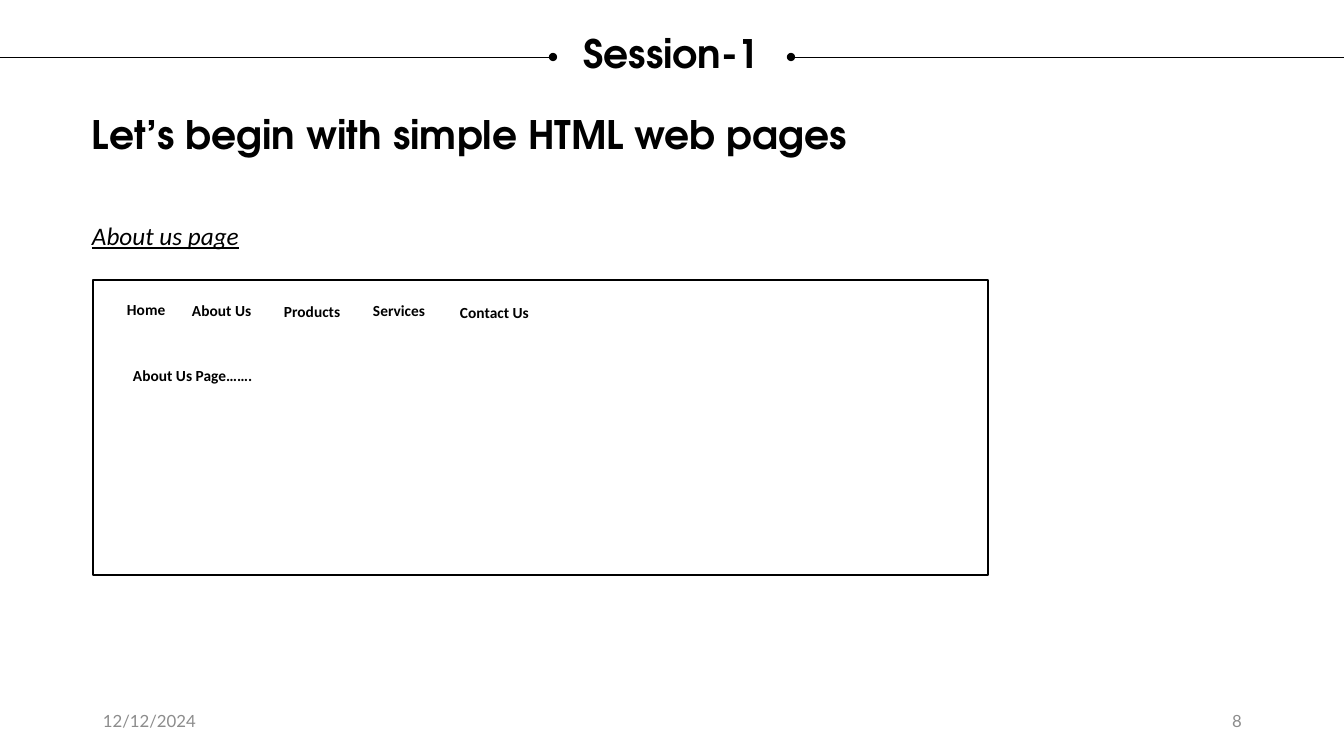
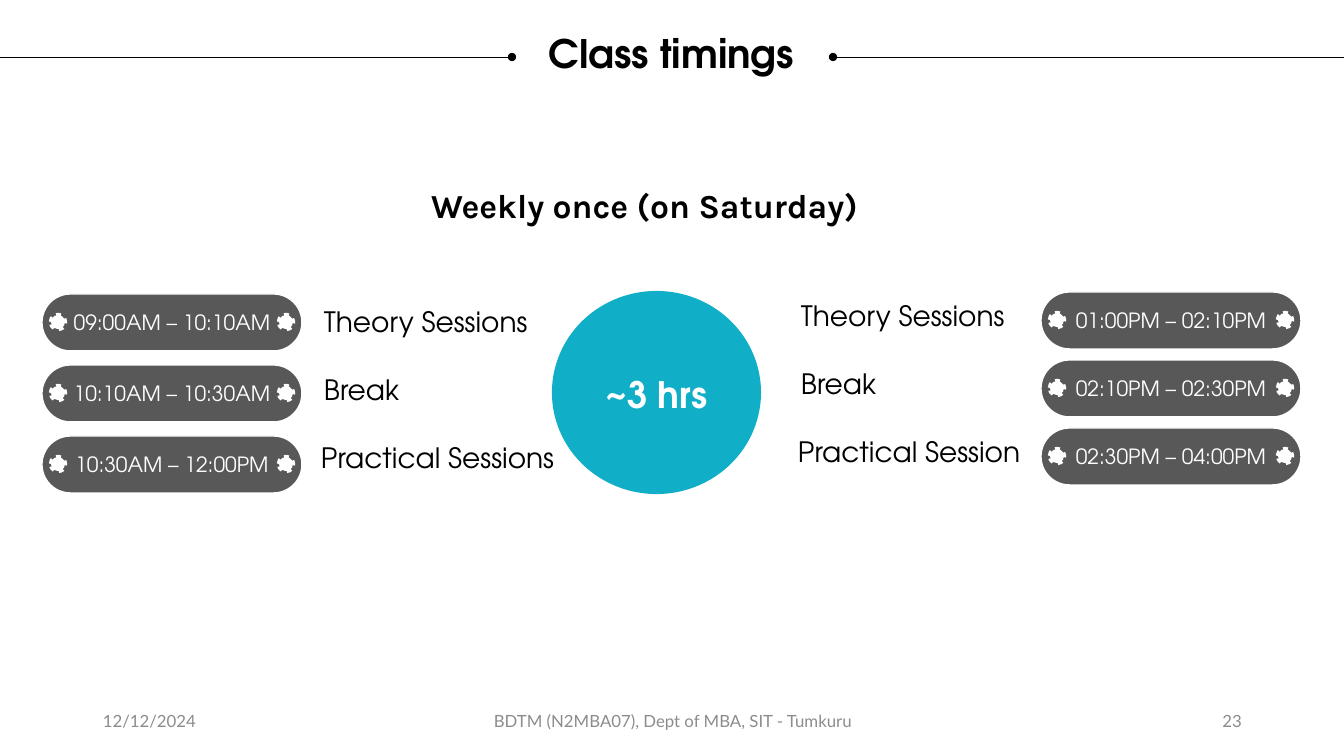
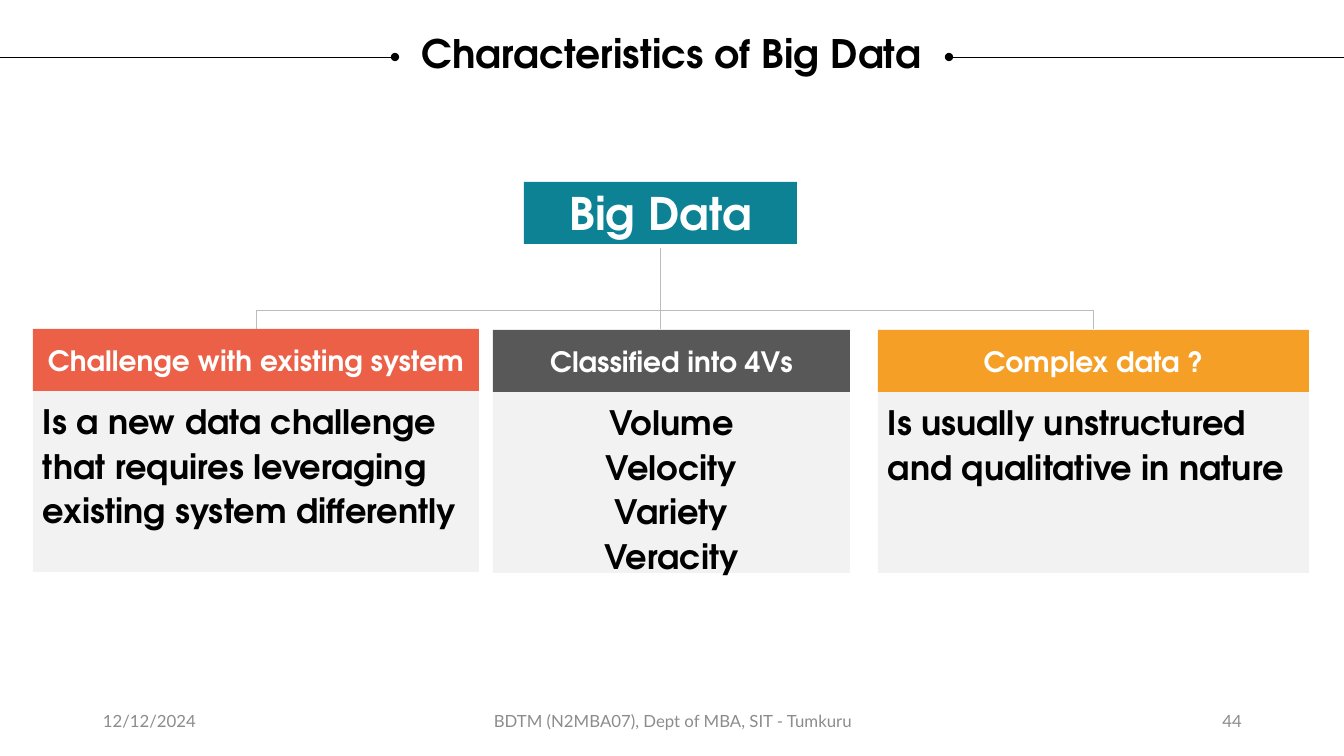
from collections import namedtuple

from lxml import etree
from pptx import Presentation
from pptx import util as u
from pptx.dml.color import RGBColor
from pptx.enum import dml, shapes, text
from pptx.oxml.ns import qn

SCALE = 914400 / 100.8
WIDTH, HEIGHT = 1344, 756
COLORS = {
    "black": "000000", "white": "FFFFFF", "grey": "8C8C8C", "line": "BBBCBC",
    "dark": "585858", "panel": "F2F2F2", "cyan": "11AEC7", "teal": "0D8295",
    "coral": "EB6047", "amber": "F59F26",
}
HEADING, PLAIN, SMALL, ACCENT = "TeX Gyre Adventor", "Calibri", "Lato", "Karla"
LEFT, CENTER, RIGHT = text.PP_ALIGN.LEFT, text.PP_ALIGN.CENTER, text.PP_ALIGN.RIGHT
TOP, MIDDLE = text.MSO_ANCHOR.TOP, text.MSO_ANCHOR.MIDDLE
KIND = shapes.MSO_SHAPE
TITLE_ONLY, TITLE_AND_BODY = 5, 1
RULE_Y = 57
DATE = "12/12/2024"
COURSE = "BDTM (N2MBA07), Dept of MBA, SIT - Tumkuru"

Box = namedtuple("Box", "left top width height")


def px(length):
    return u.Emu(round(length * SCALE))


def rgb(name):
    return RGBColor.from_string(COLORS[name])


def emu(box):
    return [px(length) for length in box]


def write(shape, lines, size, font=HEADING, color="black", bold=False, italic=False,
          underline=False, align=LEFT, anchor=TOP, spacing=1.0, before=0, after=0,
          inset=(10, 5)):
    """Fill a shape with one paragraph per line."""
    frame = shape.text_frame
    frame.word_wrap = True
    frame.auto_size = text.MSO_AUTO_SIZE.NONE
    frame.vertical_anchor = anchor
    frame.margin_left = frame.margin_right = px(inset[0])
    frame.margin_top = frame.margin_bottom = px(inset[1])
    for index, line in enumerate(lines):
        paragraph = frame.add_paragraph() if index else frame.paragraphs[0]
        paragraph.alignment = align
        paragraph.line_spacing = spacing
        paragraph.space_before = u.Pt(before if index else 0)
        paragraph.space_after = u.Pt(after)
        run = paragraph.add_run()
        run.text = line
        run.font.name = font
        run.font.size = u.Pt(size)
        run.font.bold = bold
        run.font.italic = italic
        run.font.underline = underline
        run.font.color.rgb = rgb(color)


def add_text(slide, box, line, size, **style):
    write(slide.shapes.add_textbox(*emu(box)), [line], size, **style)


def add_block(slide, kind, box, fill, line=None, line_width=1):
    shape = slide.shapes.add_shape(kind, *emu(box))
    shape.shadow.inherit = False
    shape.fill.solid()
    shape.fill.fore_color.rgb = rgb(fill)
    if line:
        shape.line.color.rgb = rgb(line)
        shape.line.width = u.Pt(line_width)
    else:
        shape.line.fill.background()
    return shape


def add_line(slide, start, end, color, kind=shapes.MSO_CONNECTOR.STRAIGHT):
    connector = slide.shapes.add_connector(kind, *emu(start + end))
    connector.line.color.rgb = rgb(color)
    connector.line.width = u.Pt(0.5)
    etree.SubElement(connector.element.spPr, qn("a:effectLst"))
    return connector


def add_corner(slide, start, end, color):
    """Draw a connector with one bend: first across, then down."""
    connector = add_line(slide, start, end, color, shapes.MSO_CONNECTOR.ELBOW)
    connector.element.spPr.find(qn("a:prstGeom")).set("prst", "bentConnector2")


def place(placeholder, box):
    placeholder.left, placeholder.top, placeholder.width, placeholder.height = emu(box)


def add_body(slide, box, line, size, **style):
    """Use the body placeholder for a line without a bullet."""
    body = slide.placeholders[1]
    place(body, box)
    write(body, [line], size, bold=True, **style)
    properties = body.text_frame.paragraphs[0]._p.get_or_add_pPr()
    properties.set("marL", "0")
    properties.set("indent", "0")
    etree.SubElement(properties, qn("a:buNone"))


def add_base(presentation, layout, title, rule_ends, number, footer=COURSE):
    """Start a slide with its title, the two rules beside it and the footer."""
    slide = presentation.slides.add_slide(presentation.slide_layouts[layout])
    place(slide.shapes.title, Box(25, 35, 1293, 42))
    write(slide.shapes.title, [title], 28, bold=True, align=CENTER, spacing=0.9,
          inset=(0, 0))
    for inner, edge in zip(rule_ends, (0, WIDTH)):
        rule = add_line(slide, (inner, RULE_Y), (edge, RULE_Y), "black")
        etree.SubElement(rule.line._get_or_add_ln(), qn("a:headEnd"), type="oval")
    for left, width, label, align in ((93, 302, DATE, LEFT), (446, 454, footer, CENTER),
                                      (950, 302, number, RIGHT)):
        if label:
            add_text(slide, Box(left, 701, width, 40), label, 12, font=SMALL,
                     color="grey", align=align, anchor=MIDDLE)
    return slide


def add_web_page(slide, box):
    """Sketch a web page with its menu and one line of content."""
    add_block(slide, KIND.RECTANGLE, box, "white", "black")
    items = (
        ("Home", Box(24, 14, 78, 37)),
        ("About Us", Box(89, 15, 104, 32)),
        ("Products", Box(181, 16, 105, 49)),
        ("Services", Box(270, 15, 104, 32)),
        ("Contact Us", Box(357, 17, 118, 38)),
        ("About Us Page…….", Box(30, 80, 342, 55)),
    )
    for label, part in items:
        item = add_block(slide, KIND.RECTANGLE,
                         part._replace(left=box.left + part.left, top=box.top + part.top),
                         "white")
        write(item, [label], 11, font=PLAIN, bold=True, spacing=1.07, after=8)


def add_time_pill(slide, box, time):
    pill = add_block(slide, KIND.ROUNDED_RECTANGLE, box, "dark", "white")
    pill.adjustments[0] = 0.5
    write(pill, [time], 15, color="white", align=CENTER, anchor=MIDDLE)
    dot_size, margin = 14, 9
    for left in (box.left + margin, box.left + box.width - margin - dot_size):
        dot = add_block(slide, KIND.OVAL, Box(left, box.top + 21, dot_size, dot_size),
                        "white", "white", 3.25)
        dot.line.dash_style = dml.MSO_LINE.ROUND_DOT


def add_timetable(slide, pills, pill_step, labels, label_step, rows):
    """Stack pills and labels downwards from the boxes of the first row."""
    for index, (time, label, shift) in enumerate(rows):
        add_time_pill(slide, pills._replace(top=pills.top + index * pill_step), time)
        add_text(slide, labels._replace(left=labels.left + shift,
                                        top=labels.top + index * label_step),
                 label, 20, spacing=0.9)


def add_card(slide, box, color, heading, lines, align=LEFT):
    head_height = 62
    head = add_block(slide, KIND.RECTANGLE, box._replace(height=head_height), color)
    write(head, [heading], 20, color="white", bold=True, align=CENTER, anchor=MIDDLE,
          inset=(10, 10))
    panel = add_block(slide, KIND.RECTANGLE,
                      box._replace(top=box.top + head_height,
                                   height=box.height - head_height), "panel")
    write(panel, lines, 24, bold=True, align=align, before=3, inset=(10, 10))


def build_web_pages(presentation):
    slide = add_base(presentation, TITLE_AND_BODY, "Session-1", (553, 791), "8", None)
    add_body(slide, Box(82, 82, 1117, 73), "Let’s begin with simple HTML web pages", 28,
             spacing=1.5)
    add_web_page(slide, Box(93, 280, 895, 295))
    add_text(slide, Box(82, 213, 672, 41), "About us page", 18, font=PLAIN, italic=True,
             underline=True, spacing=1.07, after=8)


def build_timings(presentation):
    slide = add_base(presentation, TITLE_AND_BODY, "Class timings", (512, 833), "23")
    add_body(slide, Box(261, 184, 767, 51), "Weekly once (on Saturday)", 24, font=ACCENT,
             align=CENTER, spacing=0.9)
    circle = add_block(slide, KIND.OVAL, Box(553, 292, 207, 201), "cyan", "cyan", 1.5)
    write(circle, ["~3 hrs"], 26, color="white", bold=True, align=CENTER, anchor=MIDDLE,
          spacing=1.06, inset=(10, 10))
    add_timetable(slide, Box(42, 294, 260, 57), 71, Box(314, 303, 257, 51), 68, (
        ("09:00AM – 10:10AM", "Theory Sessions", 0),
        ("10:10AM – 10:30AM", "Break", 0),
        ("10:30AM – 12:00PM", "Practical Sessions", -3),
    ))
    add_timetable(slide, Box(1041, 292, 260, 57), 68, Box(791, 297, 257, 51), 68, (
        ("01:00PM – 02:10PM", "Theory Sessions", 0),
        ("02:10PM – 02:30PM", "Break", 0),
        ("02:30PM – 04:00PM", "Practical Session", -3),
    ))


def build_characteristics(presentation):
    slide = add_base(presentation, TITLE_ONLY, "Characteristics of Big Data", (395, 949),
                     "44")
    trunk_x, branch_y, cards_y = 660, 310, 329
    add_line(slide, (trunk_x, 248), (trunk_x, cards_y), "line")
    for card_middle in (256, 1093):
        add_corner(slide, (trunk_x, branch_y), (card_middle, cards_y), "line")
    root = add_block(slide, KIND.RECTANGLE, Box(524, 182, 273, 62), "teal")
    write(root, ["Big Data"], 32, color="white", bold=True, align=CENTER, anchor=MIDDLE,
          inset=(10, 10))
    add_card(slide, Box(33, cards_y, 446, 243), "coral", "Challenge with existing system",
             ["Is a new data challenge", "that requires leveraging",
              "existing system differently"])
    add_card(slide, Box(493, cards_y + 1, 357, 243), "dark", "Classified into 4Vs",
             ["Volume", "Velocity", "Variety", "Veracity"], CENTER)
    add_card(slide, Box(878, cards_y + 1, 431, 243), "amber", "Complex data ?",
             ["Is usually unstructured", "and qualitative in nature"])


def main():
    presentation = Presentation()
    presentation.slide_width, presentation.slide_height = px(WIDTH), px(HEIGHT)
    build_web_pages(presentation)
    build_timings(presentation)
    build_characteristics(presentation)
    presentation.save("out.pptx")


if __name__ == "__main__":
    main()
